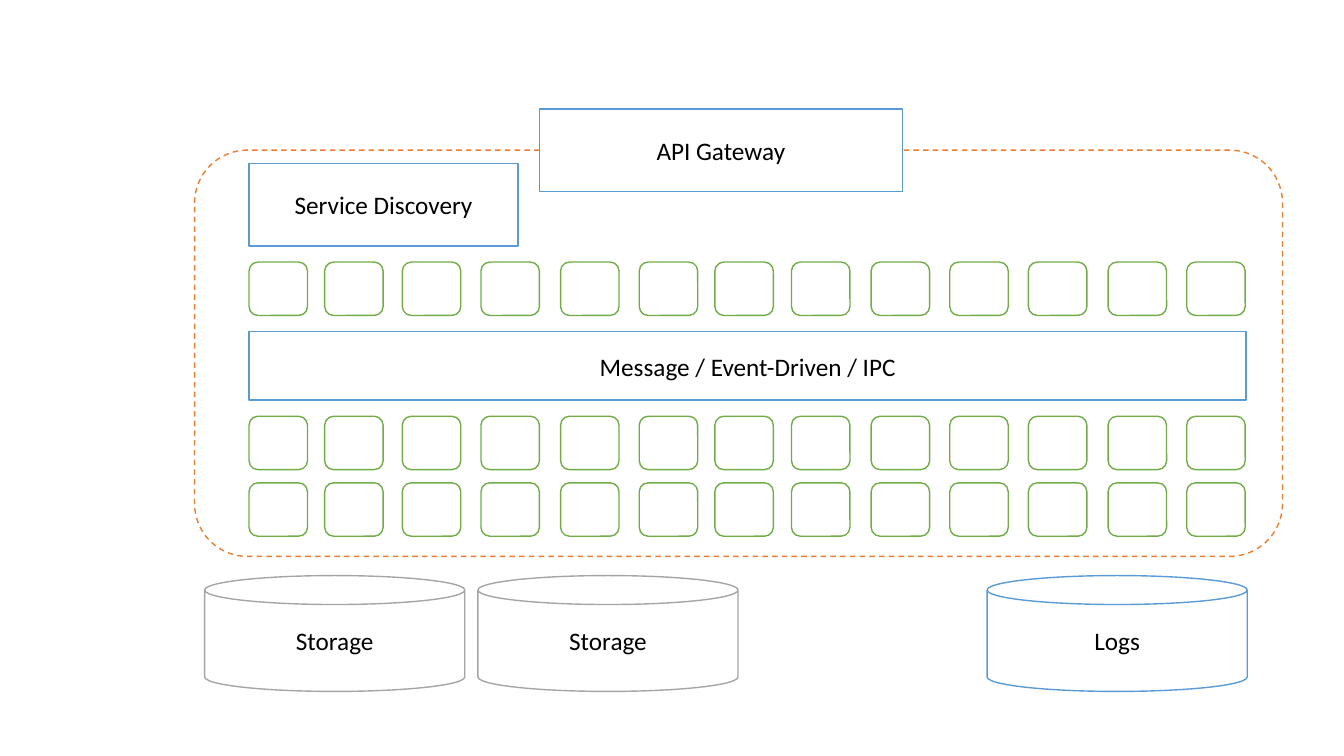
from pptx import Presentation
from pptx.dml.color import RGBColor
from pptx.enum.dml import MSO_LINE
from pptx.enum.shapes import MSO_SHAPE as Preset
from pptx.enum.text import MSO_ANCHOR, PP_ALIGN
from pptx.util import Inches, Pt

COLORS = {
    "white": "FFFFFF",
    "black": "000000",
    "orange": "ED7D31",
    "blue": "5B9BD5",
    "gray": "A5A5A5",
    "green": "70AD47",
}
LABEL_FONT = {"name": "Calibri", "size": Pt(18)}

presentation = Presentation()
presentation.slide_width = Inches(13.33)
presentation.slide_height = Inches(7.5)
slide = presentation.slides.add_slide(presentation.slide_layouts[6])


def add_outlined(preset, left, top, width, height, color):
    shape = slide.shapes.add_shape(
        preset, Inches(left), Inches(top), Inches(width), Inches(height)
    )
    shape.shadow.inherit = False
    shape.fill.solid()
    shape.fill.fore_color.rgb = RGBColor.from_string(COLORS["white"])
    shape.line.color.rgb = RGBColor.from_string(COLORS[color])
    shape.line.width = Pt(1)
    return shape


def add_labelled(text, preset, left, top, width, height, color):
    shape = add_outlined(preset, left, top, width, height, color)
    shape.text_frame.vertical_anchor = MSO_ANCHOR.MIDDLE
    paragraph = shape.text_frame.paragraphs[0]
    paragraph.alignment = PP_ALIGN.CENTER
    run = paragraph.add_run()
    run.text = text
    for attribute, value in LABEL_FONT.items():
        setattr(run.font, attribute, value)
    run.font.color.rgb = RGBColor.from_string(COLORS["black"])


boundary = add_outlined(Preset.ROUNDED_RECTANGLE, 1.93, 1.49, 10.79, 4.03, "orange")
boundary.adjustments[0] = 0.13
boundary.line.dash_style = MSO_LINE.DASH

components = [
    ("API Gateway", 5.35, 1.08, 3.6, 0.82),
    ("Message / Event-Driven / IPC", 2.47, 3.29, 9.89, 0.68),
    ("Service Discovery", 2.47, 1.62, 2.67, 0.82),
]
for text, left, top, width, height in components:
    add_labelled(text, Preset.RECTANGLE, left, top, width, height, "blue")

stores = [("Storage", 2.03, "gray"), ("Logs", 9.79, "blue"), ("Storage", 4.74, "gray")]
for text, left, color in stores:
    add_labelled(text, Preset.CAN, left, 5.71, 2.58, 1.15, color)

service_lefts = [
    2.47, 3.22, 3.99, 4.77, 5.56, 6.34, 7.09,
    7.85, 8.64, 9.42, 10.2, 10.99, 11.77,
]
for top in (2.6, 4.13, 4.79):
    for left in service_lefts:
        add_outlined(Preset.ROUNDED_RECTANGLE, left, top, 0.58, 0.53, "green")

presentation.save("out.pptx")
